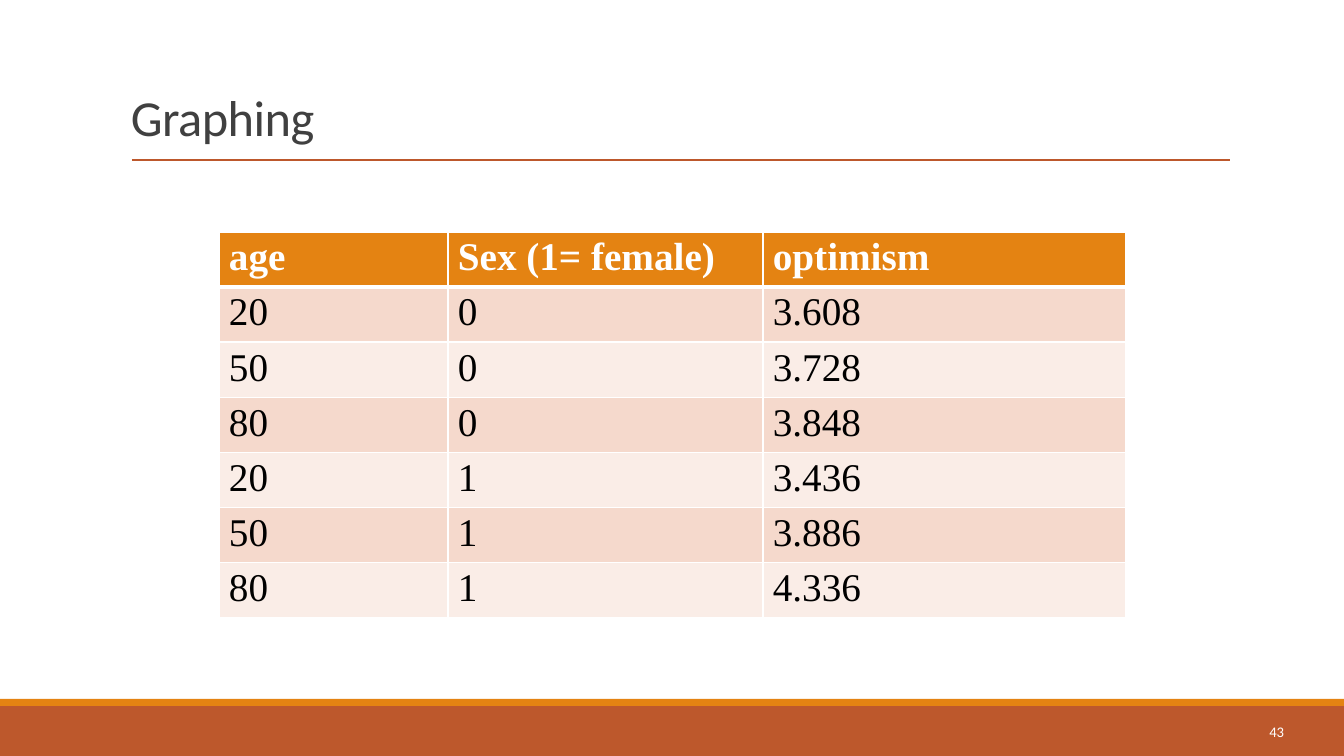
from lxml import etree
from pptx import Presentation
from pptx import util as u
from pptx.dml.color import RGBColor
from pptx.enum import shapes, text
from pptx.oxml import ns

WHITE, ORANGE, RUST = "FFFFFF", "E48312", "BD582C"
BANDS = ["F5D9CC", "FAEDE7"]
ROWS = [
    ("age", "Sex (1= female)", "optimism"),
    ("20", "0", "3.608"),
    ("50", "0", "3.728"),
    ("80", "0", "3.848"),
    ("20", "1", "3.436"),
    ("50", "1", "3.886"),
    ("80", "1", "4.336"),
]
WIDTHS = [229, 315, 363]


def px(n):
    return u.Emu(round(n * 12192000 / 1344))


def color(code):
    return RGBColor.from_string(code)


def style(para, face, size, code, bold=False):
    for run in para.runs:
        font = run.font
        font.name, font.size, font.bold = face, u.Pt(size), bold
        font.color.rgb = color(code)


def label(slide, box, words, size, code, anchor, align):
    frame = slide.shapes.add_textbox(*map(px, box)).text_frame
    frame.word_wrap = True
    frame.vertical_anchor = anchor
    frame.text = words
    para = frame.paragraphs[0]
    para.alignment = align
    style(para, "Calibri", size, code)
    return para


def bar(slide, box, code):
    rect = slide.shapes.add_shape(shapes.MSO_SHAPE.RECTANGLE, *map(px, box))
    rect.shadow.inherit = False
    rect.fill.solid()
    rect.fill.fore_color.rgb = color(code)
    rect.line.fill.background()


def header(slide, box):
    left, top, width, height = box
    para = label(slide, box, "Graphing", 36, "404040",
                 text.MSO_ANCHOR.BOTTOM, text.PP_ALIGN.LEFT)
    para.line_spacing = 0.85
    para.runs[0].font._element.set("spc", "-40")
    level = top + height + 8
    rule = slide.shapes.add_connector(
        shapes.MSO_CONNECTOR.STRAIGHT,
        *map(px, (left + 11, level, left + width, level)))
    rule.line.color.rgb = color(RUST)
    rule.line.width = u.Pt(1.5)
    etree.SubElement(rule._element.spPr, ns.qn("a:effectLst"))


def border(cell, sides):
    props = cell._tc.get_or_add_tcPr()
    for spot, (side, points) in enumerate(sides.items()):
        line = etree.Element(ns.qn("a:ln" + side), w=str(u.Pt(points)))
        fill = etree.SubElement(line, ns.qn("a:solidFill"))
        etree.SubElement(fill, ns.qn("a:srgbClr"), val=WHITE)
        props.insert(spot, line)


def grid(slide, box):
    table = slide.shapes.add_table(
        len(ROWS), len(WIDTHS), *map(px, box)).table
    table.horz_banding = False
    for col, width in zip(table.columns, WIDTHS):
        col.width = px(width)
    for i, (row, values) in enumerate(zip(table.rows, ROWS)):
        row.height = px(box[3] / len(ROWS))
        head = i == 0
        for cell, value in zip(row.cells, values):
            cell.text = value
            cell.margin_left = cell.margin_right = px(10)
            cell.margin_top = cell.margin_bottom = px(4)
            cell.fill.solid()
            cell.fill.fore_color.rgb = color(
                ORANGE if head else BANDS[(i - 1) % 2])
            border(cell, {"L": 1, "R": 1, "T": 3 if i == 1 else 1,
                          "B": 3 if head else 1})
            style(cell.text_frame.paragraphs[0], "Times New Roman", 28,
                  WHITE if head else "000000", head)


def footer(slide, box):
    left, top, width, height = box
    bar(slide, (left, top + 7, width, height - 7), RUST)
    bar(slide, (left, top, width, 7), ORANGE)
    label(slide, (left + width - 194, top + 13, 144, 40), "43", 10.5, WHITE,
          text.MSO_ANCHOR.MIDDLE, text.PP_ALIGN.RIGHT)


def main():
    deck = Presentation()
    deck.slide_width, deck.slide_height = px(1344), px(756)
    slide = deck.slides.add_slide(deck.slide_layouts[6])
    footer(slide, (0, 699, 1344, 57))
    header(slide, (121, 31, 1109, 121))
    grid(slide, (219, 232, sum(WIDTHS), 374))
    deck.save("out.pptx")


if __name__ == "__main__":
    main()
